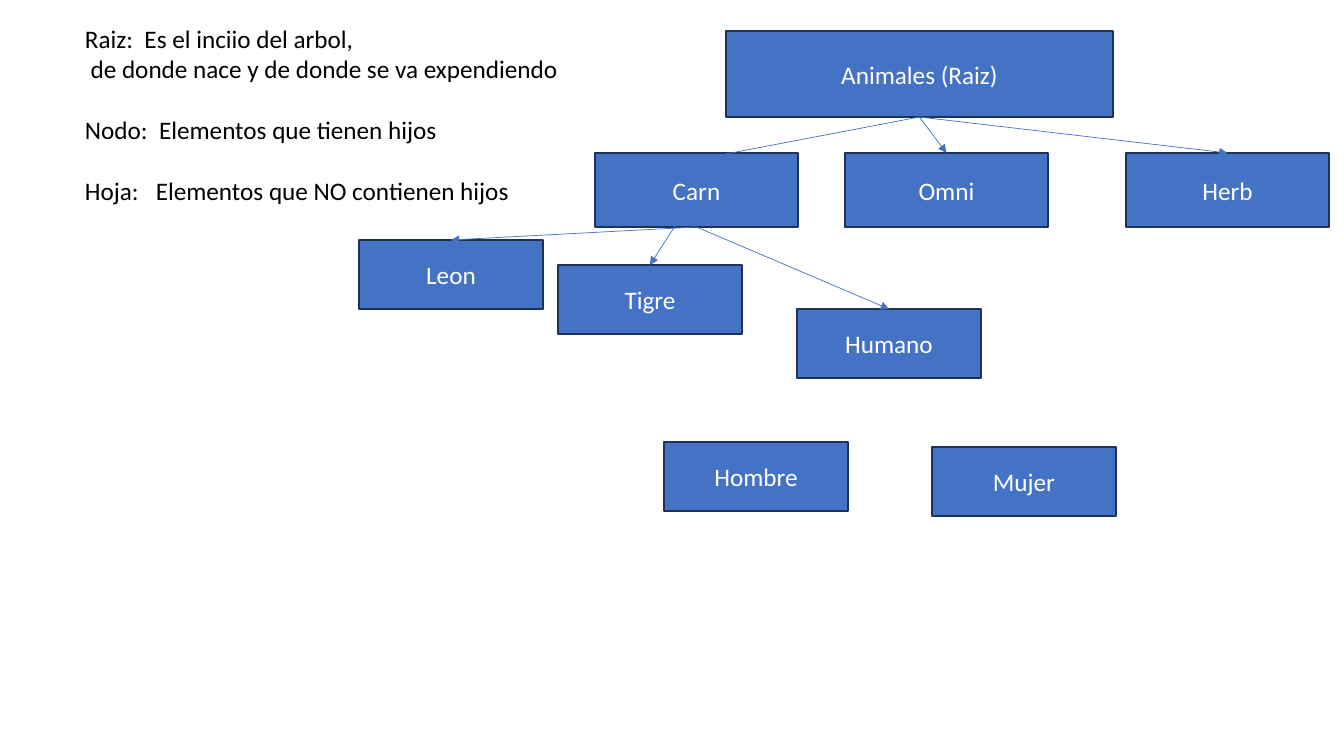
from dataclasses import dataclass

from lxml.etree import SubElement
from pptx import Presentation
from pptx.dml.color import RGBColor
from pptx.enum.shapes import MSO_CONNECTOR, MSO_SHAPE
from pptx.enum.text import MSO_ANCHOR, PP_ALIGN
from pptx.oxml.ns import qn
from pptx.util import Emu, Pt


@dataclass(frozen=True)
class Theme:
    font: str = "Calibri"
    size: int = 18
    gap: int = 22
    border_width: float = 1
    arrow_width: float = 0.5
    fill: RGBColor = RGBColor(0x44, 0x72, 0xC4)
    border: RGBColor = RGBColor(0x1E, 0x32, 0x56)
    light: RGBColor = RGBColor(0xFF, 0xFF, 0xFF)
    dark: RGBColor = RGBColor(0x00, 0x00, 0x00)


def px(n):
    return Emu(round(n * 914400 / 100.8))


def apply(obj, **values):
    for name, value in values.items():
        setattr(obj, name, value)


class TreeSlide:
    def __init__(self, prs, theme):
        self.theme = theme
        self.slide = prs.slides.add_slide(prs.slide_layouts[6])

    def label(self, p, text, color):
        r = p.add_run()
        r.text = text
        apply(r.font, name=self.theme.font, size=Pt(self.theme.size))
        r.font.color.rgb = color

    def definitions(self, box, lines):
        tf = self.slide.shapes.add_textbox(*map(px, box)).text_frame
        tf.word_wrap = True
        for i, (text, spaced) in enumerate(lines):
            p = tf.add_paragraph() if i else tf.paragraphs[0]
            p.space_before = Pt(self.theme.gap if spaced else 0)
            self.label(p, text, self.theme.dark)

    def node(self, text, box):
        sp = self.slide.shapes.add_shape(MSO_SHAPE.RECTANGLE, *map(px, box))
        sp.shadow.inherit = False
        sp.fill.solid()
        sp.fill.fore_color.rgb = self.theme.fill
        sp.line.color.rgb = self.theme.border
        sp.line.width = Pt(self.theme.border_width)
        tf = sp.text_frame
        apply(tf, word_wrap=True, vertical_anchor=MSO_ANCHOR.MIDDLE)
        p = tf.paragraphs[0]
        p.alignment = PP_ALIGN.CENTER
        self.label(p, text, self.theme.light)
        return sp

    def branch(self, parent, child, start=(0, 0), end=(0, 0)):
        cxn = self.slide.shapes.add_connector(
            MSO_CONNECTOR.STRAIGHT,
            parent.left + parent.width // 2 + px(start[0]),
            parent.top + parent.height + px(start[1]),
            child.left + child.width // 2 + px(end[0]),
            child.top + px(end[1]),
        )
        if not any(start):
            cxn.begin_connect(parent, 2)
        if not any(end):
            cxn.end_connect(child, 0)
        cxn.line.color.rgb = self.theme.fill
        cxn.line.width = Pt(self.theme.arrow_width)
        spPr = cxn._element.spPr
        SubElement(spPr.get_or_add_ln(), qn("a:tailEnd"), type="triangle")
        SubElement(spPr, qn("a:effectLst"))


DEFINITIONS = [
    ("Raiz:  Es el inciio del arbol,", False),
    (" de donde nace y de donde se va expendiendo", False),
    ("Nodo:  Elementos que tienen hijos", True),
    ("Hoja:   Elementos que NO contienen hijos", True),
]
ROOT = (387, 86)
GROUP = (203, 74)
SPECIES = (184, 69)
NODES = [
    ("Animales (Raiz)", 726, 31, ROOT),
    ("Carn", 595, 153, GROUP),
    ("Omni", 845, 153, GROUP),
    ("Herb", 1126, 153, GROUP),
    ("Leon", 359, 240, SPECIES),
    ("Tigre", 558, 265, SPECIES),
    ("Humano", 797, 309, SPECIES),
    ("Mujer", 932, 447, SPECIES),
    ("Hombre", 664, 442, SPECIES),
]
BRANCHES = [
    ("Animales (Raiz)", "Carn", {"end": (-2, 7)}),
    ("Animales (Raiz)", "Omni", {}),
    ("Animales (Raiz)", "Herb", {}),
    ("Carn", "Leon", {}),
    ("Carn", "Tigre", {"start": (-17, -8)}),
    ("Carn", "Humano", {}),
]


def main():
    prs = Presentation()
    apply(prs, slide_width=px(1344), slide_height=px(756))
    s = TreeSlide(prs, Theme())
    s.definitions((75, 18, 672, 224), DEFINITIONS)
    nodes = {text: s.node(text, (x, y, *size)) for text, x, y, size in NODES}
    for parent, child, shifts in BRANCHES:
        s.branch(nodes[parent], nodes[child], **shifts)
    prs.save("out.pptx")


if __name__ == "__main__":
    main()
